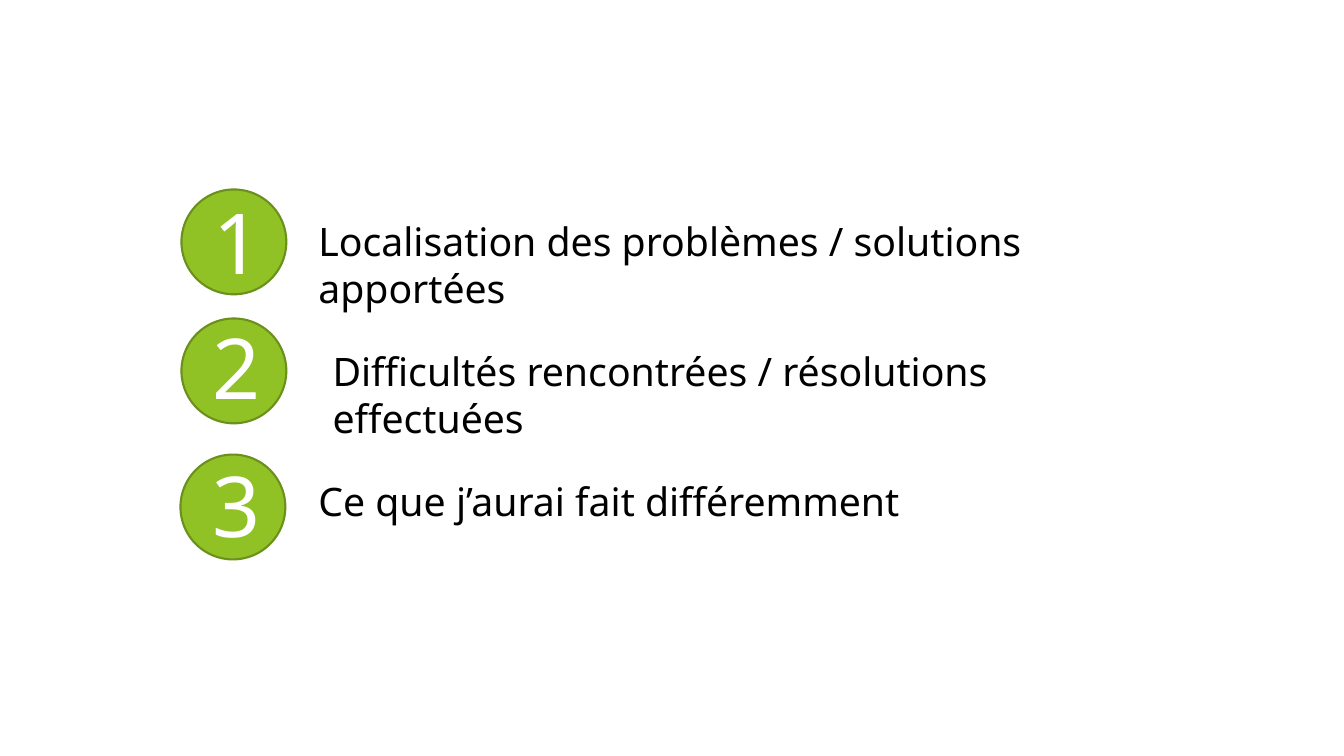
import pptx
import pptx.util
import pptx.dml.color
import pptx.enum.shapes
import pptx.enum.text

Inches = pptx.util.Inches
Color = pptx.dml.color.RGBColor.from_string

THEME = {
    "font": "Noto Sans",
    "circle_fill": "90C226",
    "circle_line": "6B901C",
    "line_width": 1.5,
    "number": {"size": 60, "color": "FFFFFF"},
    "topic": {"size": 28, "color": "000000"},
}

TOPICS = [
    {"text": "Localisation des problèmes / solutions apportées",
     "circle": (1.8, 1.88), "number": (2.02, 1.84), "left": 3.06, "width": 8.78},
    {"text": "Difficultés rencontrées / résolutions effectuées",
     "circle": (1.8, 3.16), "number": (2.01, 3.08), "left": 3.2, "width": 8.52},
    {"text": "Ce que j’aurai fait différemment",
     "circle": (1.79, 4.51), "number": (2.01, 4.45), "left": 3.06, "width": 8.52},
]

CIRCLE_SIZE = 1.04
NUMBER_SIZE = (0.61, 1.11)
TOPIC_TOP, TOPIC_STEP, TOPIC_HEIGHT = 2.11, 1.29, 0.57


def add_text(shapes, text, box, style):
    shape = shapes.add_textbox(*map(Inches, box))
    frame = shape.text_frame
    frame.word_wrap = True
    frame.auto_size = pptx.enum.text.MSO_AUTO_SIZE.SHAPE_TO_FIT_TEXT
    run = frame.paragraphs[0].add_run()
    run.text = text
    font_format = {"name": THEME["font"], "size": pptx.util.Pt(style["size"])}
    for attribute, value in font_format.items():
        setattr(run.font, attribute, value)
    run.font.color.rgb = Color(style["color"])


def add_badge(slide, number, topic):
    group = slide.shapes.add_group_shape()
    circle = group.shapes.add_shape(
        pptx.enum.shapes.MSO_SHAPE.OVAL,
        *map(Inches, (*topic["circle"], CIRCLE_SIZE, CIRCLE_SIZE)))
    circle.shadow.inherit = False
    circle.fill.solid()
    circle.fill.fore_color.rgb = Color(THEME["circle_fill"])
    circle.line.color.rgb = Color(THEME["circle_line"])
    circle.line.width = pptx.util.Pt(THEME["line_width"])
    add_text(group.shapes, str(number), (*topic["number"], *NUMBER_SIZE), THEME["number"])


presentation = pptx.Presentation()
presentation.slide_width = Inches(13.33)
presentation.slide_height = Inches(7.5)
slide = presentation.slides.add_slide(presentation.slide_layouts[6])

for number, topic in enumerate(TOPICS, 1):
    add_badge(slide, number, topic)

for index, topic in enumerate(TOPICS):
    top = TOPIC_TOP + index * TOPIC_STEP
    add_text(slide.shapes, topic["text"],
             (topic["left"], top, topic["width"], TOPIC_HEIGHT), THEME["topic"])

presentation.save("out.pptx")
